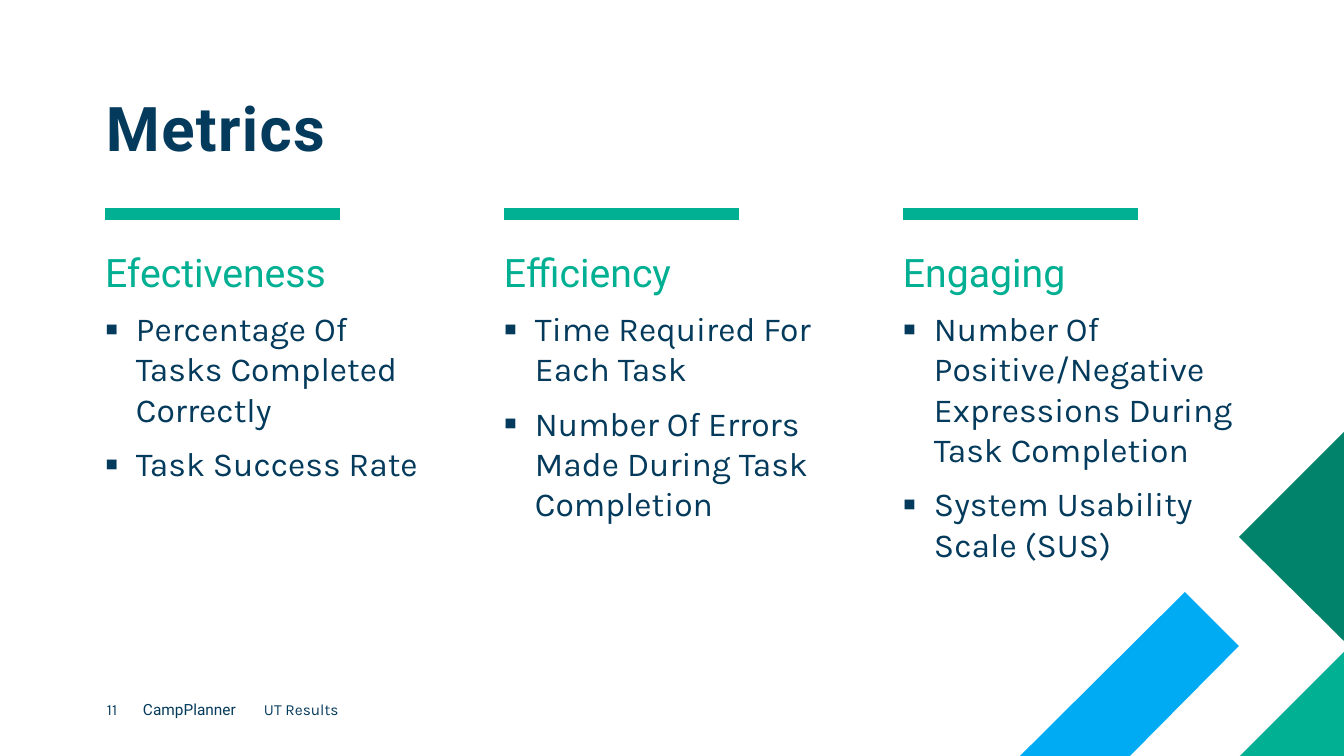
from lxml.etree import SubElement
from pptx import Presentation
from pptx.dml.color import RGBColor
from pptx.enum.shapes import MSO_CONNECTOR
from pptx.enum.text import MSO_ANCHOR, MSO_AUTO_SIZE, PP_ALIGN
from pptx.oxml.ns import qn
from pptx.util import Pt

TITLE = "Metrics"
METRICS = [
    ("Efectiveness", ["Percentage Of Tasks Completed Correctly", "Task Success Rate"]),
    ("Efficiency", ["Time Required For Each Task",
                    "Number Of Errors Made During Task Completion"]),
    ("Engaging", ["Number Of Positive/Negative Expressions During Task Completion",
                  "System Usability Scale (SUS)"]),
]
FOOTER = [
    ("11", "Karla", 107, 36),
    ("CampPlanner", "Roboto", 143, 121),
    ("UT Results", "Karla", 264, 134),
]
COLORS = {"navy": "043A5B", "green": "01AF92", "blue": "00ABF3", "dark_green": "00836A"}
CORNER_ART = [
    ("blue", [(1020, 756), (1130, 756), (1239, 646), (1185, 592)]),
    ("green", [(1240, 756), (1344, 756), (1344, 652)]),
    ("dark_green", [(1344, 432), (1239, 537), (1344, 641)]),
]
EMU_PER_PX = 914400 / 100.8
COLUMN_LEFT, COLUMN_STEP, COLUMN_WIDTH = 105, 399, 335
RULE_WIDTH, RULE_Y = 235, 214
INDENT = 31


def px(length):
    return round(length * EMU_PER_PX)


def color(name):
    return RGBColor.from_string(COLORS[name])


def add_bullet(paragraph):
    properties = paragraph._p.get_or_add_pPr()
    properties.set("marL", str(px(INDENT)))
    properties.set("indent", str(-px(INDENT)))
    SubElement(properties, qn("a:buFont")).set("typeface", "Karla")
    SubElement(properties, qn("a:buChar")).set("char", "▪")


def write(holder, box, lines, face, size, ink, bold=False, spacing=1.0,
          anchor=MSO_ANCHOR.TOP, bullets=False):
    holder.left, holder.top, holder.width, holder.height = map(px, box)
    frame = holder.text_frame
    frame.word_wrap = True
    frame.auto_size = MSO_AUTO_SIZE.NONE
    frame.vertical_anchor = anchor
    frame.margin_left = frame.margin_top = frame.margin_right = frame.margin_bottom = 0
    frame.text = "\n".join(lines)
    for index, paragraph in enumerate(frame.paragraphs):
        if bullets:
            add_bullet(paragraph)
        paragraph.alignment = PP_ALIGN.LEFT
        paragraph.line_spacing = spacing
        paragraph.space_before = Pt(10 if index else 0)
        font = paragraph.font
        font.name, font.size, font.bold = face, Pt(size), bold
        font.color.rgb = color(ink)


def add_rule(slide, left):
    rule = slide.shapes.add_connector(
        MSO_CONNECTOR.STRAIGHT, px(left), px(RULE_Y), px(left + RULE_WIDTH), px(RULE_Y))
    rule.line.color.rgb = color("green")
    rule.line.width = Pt(8)
    SubElement(rule._element.spPr, qn("a:effectLst"))


def add_polygon(slide, fill, points):
    corners = [(px(x), px(y)) for x, y in points]
    builder = slide.shapes.build_freeform(*corners[0])
    builder.add_line_segments(corners[1:], close=True)
    polygon = builder.convert_to_shape()
    polygon.shadow.inherit = False
    polygon.fill.solid()
    polygon.fill.fore_color.rgb = color(fill)
    polygon.line.fill.background()


def main():
    deck = Presentation()
    deck.slide_width, deck.slide_height = px(1344), px(756)
    slide = deck.slides.add_slide(deck.slide_layouts.get_by_name("Comparison"))
    title, *bodies = slide.placeholders

    for text, face, left, width in FOOTER:
        label = slide.shapes.add_textbox(0, 0, 0, 0)
        write(label, (left, 700, width, 29), [text], face, 11, "navy")

    write(title, (106, 97, 544, 68), [TITLE], "Roboto", 44, "navy", bold=True,
          spacing=0.9, anchor=MSO_ANCHOR.BOTTOM)
    title.text_frame.paragraphs[0].runs[0]._r.get_or_add_rPr().set("spc", "100")

    while len(bodies) < 2 * len(METRICS):
        bodies.append(slide.shapes.add_textbox(0, 0, 0, 0))
    for column, (heading, measures) in enumerate(METRICS):
        left = COLUMN_LEFT + column * COLUMN_STEP
        heading_body, measures_body = bodies[2 * column:2 * column + 2]
        add_rule(slide, left)
        write(heading_body, (left, 254, COLUMN_WIDTH, 44), [heading],
              "Roboto", 28, "green", spacing=0.9)
        write(measures_body, (left, 308, COLUMN_WIDTH, 336), measures,
              "Karla", 24, "navy", bullets=True)

    for fill, points in CORNER_ART:
        add_polygon(slide, fill, points)
    deck.save("out.pptx")


if __name__ == "__main__":
    main()
